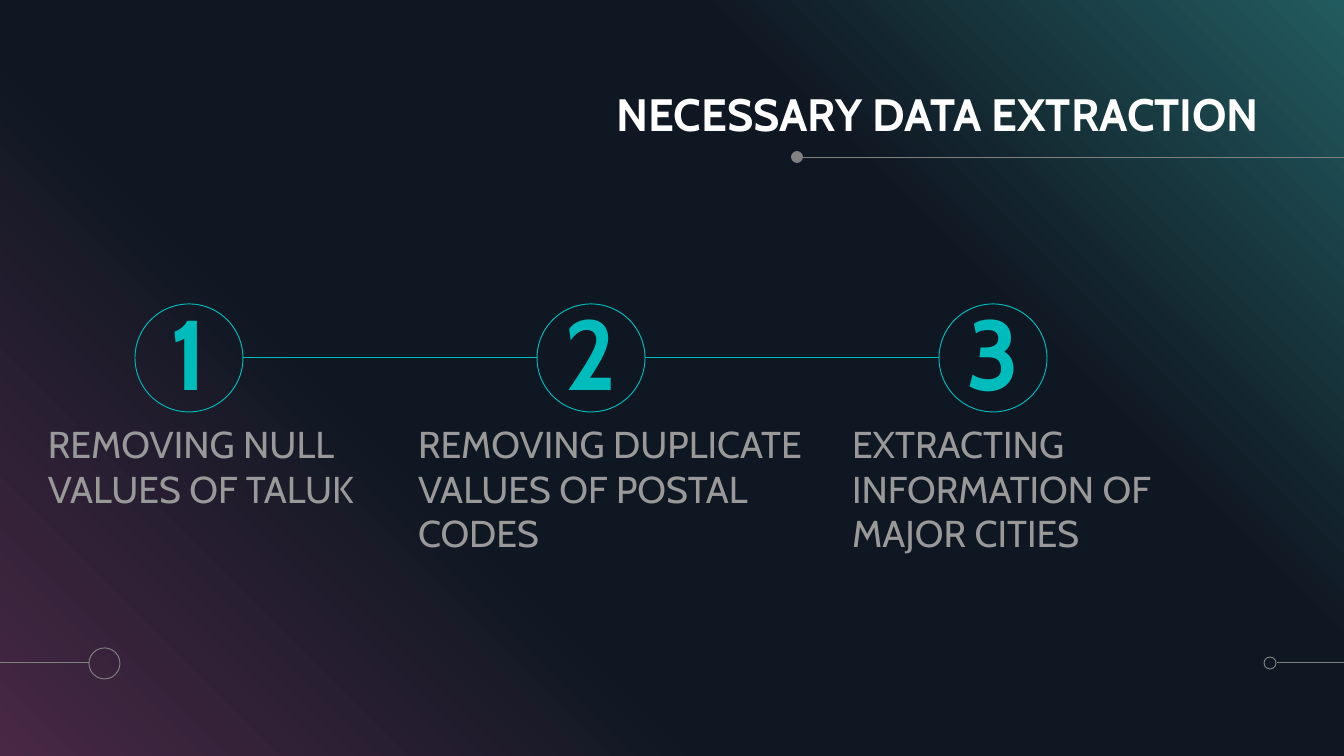
from lxml.etree import SubElement
from pptx import Presentation
from pptx.dml.color import RGBColor
from pptx.enum.shapes import MSO_CONNECTOR, MSO_SHAPE
from pptx.enum.text import MSO_ANCHOR, PP_ALIGN
from pptx.oxml.ns import qn
from pptx.util import Emu, Pt

WIDTH, HEIGHT = 1344, 756
FONT = "Cabin"
GREY, TEAL = "808080", "00BBBB"

# Step circles: equal size, equal pitch
CIRCLE_LEFT, CIRCLE_TOP, CIRCLE_SIZE, CIRCLE_PITCH = 135, 304, 108, 402
STEPS = [  # text, left, width
    ("REMOVING NULL VALUES OF TALUK", 48, 325),
    ("REMOVING DUPLICATE VALUES OF POSTAL CODES", 418, 402),
    ("EXTRACTING INFORMATION OF MAJOR CITIES", 852, 379),
]


def px(length):
    return Emu(round(length * 914400 / 134.4))


def color(hex_string):
    return RGBColor.from_string(hex_string)


def format_text(shape, text, size, hex_color, bold=False, align=PP_ALIGN.LEFT,
                anchor=MSO_ANCHOR.TOP, line_spacing=1.0, space_before=0):
    frame = shape.text_frame
    frame.text = text
    frame.word_wrap = True
    frame.vertical_anchor = anchor
    frame.margin_left = frame.margin_right = 0
    frame.margin_top = frame.margin_bottom = 0
    paragraph = frame.paragraphs[0]
    paragraph.alignment = align
    paragraph.line_spacing = line_spacing
    paragraph.space_before = Pt(space_before)
    font = paragraph.runs[0].font
    font.name, font.size, font.bold = FONT, Pt(size), bold
    font.color.rgb = color(hex_color)


def add_gradient_background(slide):
    shape = slide.shapes.add_shape(MSO_SHAPE.RECTANGLE, 0, 0, px(WIDTH), px(HEIGHT))
    shape.shadow.inherit = False
    shape.line.fill.background()
    shape.fill.gradient()
    shape.fill.gradient_angle = 45
    stops = shape._element.spPr.find(qn("a:gradFill")).find(qn("a:gsLst"))
    for stop in list(stops):
        stops.remove(stop)
    for percent, hex_color in [(0, "482845"), (34, "0F1722"), (69, "0F1722"), (100, "225B5F")]:
        stop = SubElement(stops, qn("a:gs"), pos=str(percent * 1000))
        SubElement(stop, qn("a:srgbClr"), val=hex_color)


def add_line(slide, start, end, y, hex_color):
    line = slide.shapes.add_connector(
        MSO_CONNECTOR.STRAIGHT, px(start), px(y), px(end), px(y))
    line.line.color.rgb = color(hex_color)
    line.line.width = Pt(0.5)
    SubElement(line._element.spPr, qn("a:effectLst"))


def add_circle(slide, left, top, size, hex_color, filled=False):
    circle = slide.shapes.add_shape(
        MSO_SHAPE.OVAL, px(left), px(top), px(size), px(size))
    circle.shadow.inherit = False
    if filled:
        circle.fill.solid()
        circle.fill.fore_color.rgb = color(hex_color)
        circle.line.fill.background()
    else:
        circle.fill.background()
        circle.line.color.rgb = color(hex_color)
        circle.line.width = Pt(0.5)
    return circle


def add_title(slide, text):
    title = slide.shapes.title
    title.left, title.top, title.width, title.height = px(563), px(78), px(696), px(63)
    format_text(title, text, 24.3, "FFFFFF", bold=True, align=PP_ALIGN.RIGHT,
                anchor=MSO_ANCHOR.BOTTOM, line_spacing=0.9)
    # Bring the title in front of the background
    slide.shapes._spTree.append(title._element)


def add_step(slide, index, text, left, width):
    circle_left = CIRCLE_LEFT + index * CIRCLE_PITCH
    if index:
        add_line(slide, circle_left - CIRCLE_PITCH + CIRCLE_SIZE, circle_left,
                 CIRCLE_TOP + CIRCLE_SIZE // 2, TEAL)
    box = slide.shapes.add_textbox(px(left), px(421), px(width), px(207))
    format_text(box, text, 20, "999999", space_before=4.5)
    circle = add_circle(slide, circle_left, CIRCLE_TOP, CIRCLE_SIZE, TEAL)
    format_text(circle, str(index + 1), 53, TEAL, bold=True, align=PP_ALIGN.CENTER,
                anchor=MSO_ANCHOR.MIDDLE, line_spacing=0.9, space_before=7.5)


def main():
    presentation = Presentation()
    presentation.slide_width, presentation.slide_height = px(WIDTH), px(HEIGHT)
    slide = presentation.slides.add_slide(presentation.slide_layouts[5])
    slide.background.fill.solid()
    slide.background.fill.fore_color.rgb = color("000000")
    add_gradient_background(slide)

    # Line under the title
    add_line(slide, 800, WIDTH, 157, GREY)
    add_circle(slide, 791, 151, 12, GREY, filled=True)

    # Bottom corner ornaments
    add_line(slide, 1277, WIDTH, 663, GREY)
    add_circle(slide, 1264, 657, 12, GREY)
    add_line(slide, 0, 89, 663, GREY)
    add_circle(slide, 89, 648, 31, GREY)

    # Title and steps
    add_title(slide, "NECESSARY DATA EXTRACTION")
    for index, (text, left, width) in enumerate(STEPS):
        add_step(slide, index, text, left, width)

    presentation.save("out.pptx")


if __name__ == "__main__":
    main()
